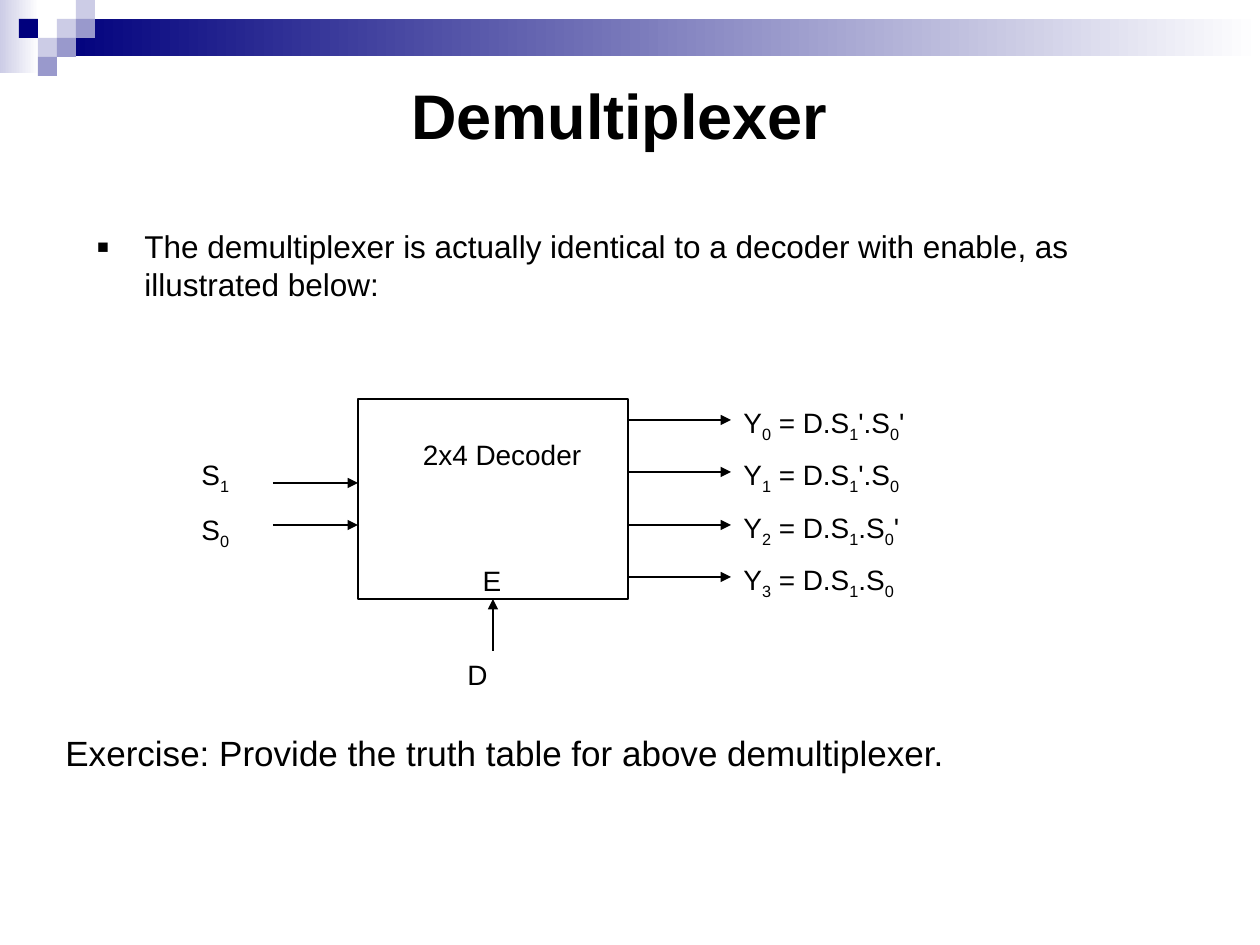
from typing import NamedTuple

from lxml import etree
from pptx import Presentation
from pptx import util as u
from pptx.dml import color
from pptx.enum import shapes, text
from pptx.oxml import ns

SCALE = 914400 / 126
COLORS = {"black": "000000", "white": "FFFFFF", "navy": "00007D",
          "mid": "9999CC", "pale": "CCCCE6"}


class Box(NamedTuple):
    x: int
    y: int
    w: int
    h: int


class Tile(NamedTuple):
    col: int
    row: int
    color: str


class Arrow(NamedTuple):
    x1: int
    y1: int
    x2: int
    y2: int


class Label(NamedTuple):
    text: str
    box: Box
    align: str = "LEFT"


TILE = 19
TILES = [Tile(3, 1, "pale"), Tile(4, 0, "pale"), Tile(4, 1, "mid"),
         Tile(2, 2, "pale"), Tile(1, 1, "navy"), Tile(3, 2, "mid"),
         Tile(2, 3, "mid")]
DECODER = Box(358, 399, 270, 200)
RIGHT = DECODER.x + DECODER.w
BOTTOM = DECODER.y + DECODER.h
CENTER = DECODER.x + DECODER.w // 2
OUTPUTS = ["Y_0 = D.S_1'.S_0'", "Y_1 = D.S_1'.S_0",
           "Y_2 = D.S_1.S_0'", "Y_3 = D.S_1.S_0"]
OFFSETS = [105 * i // 2 for i in range(len(OUTPUTS))]
LABELS = [Label("2x4 Decoder", Box(392, 431, 220, 46), "CENTER"),
          Label("E", Box(450, 557, 84, 46), "CENTER"),
          Label("D", Box(455, 651, 84, 46)),
          Label("S_1\nS_0", Box(189, 451, 102, 107))]
LABELS += [Label(t, Box(731, DECODER.y + dy, 372, 52))
           for t, dy in zip(OUTPUTS, OFFSETS)]
ARROWS = [Arrow(273, y, DECODER.x, y) for y in (483, 525)]
ARROWS += [Arrow(RIGHT, 420 + dy, 731, 420 + dy) for dy in OFFSETS]


def px(n: float) -> int:
    return round(n * SCALE)


def rgb(name: str) -> color.RGBColor:
    return color.RGBColor.from_string(COLORS[name])


def add_rect(s, box: Box, fill: str = "", fade: str = "", line: float = 0):
    sp = s.shapes.add_shape(shapes.MSO_SHAPE.RECTANGLE, *map(px, box))
    sp.shadow.inherit = False
    if fade:
        sp.fill.gradient()
        sp.fill.gradient_angle = 0
        for stop, name in zip(sp.fill.gradient_stops, (fill, fade)):
            stop.color.rgb = rgb(name)
    elif fill:
        sp.fill.solid()
        sp.fill.fore_color.rgb = rgb(fill)
    else:
        sp.fill.background()
    if line:
        sp.line.color.rgb = rgb("black")
        sp.line.width = u.Pt(line)
    else:
        sp.line.fill.background()
    return sp


def add_bullet(p, char: str, indent: int) -> None:
    pPr = p._p.get_or_add_pPr()
    pPr.set("marL", str(px(indent)))
    pPr.set("indent", str(-px(indent)))
    etree.SubElement(pPr, ns.qn("a:buSzPct")).set("val", "120000")
    etree.SubElement(pPr, ns.qn("a:buFont")).set("typeface", "Arial")
    etree.SubElement(pPr, ns.qn("a:buChar")).set("char", char)


def add_run(p, content: str, size: float, bold: bool, sub: bool = False) -> None:
    if not content:
        return
    r = p.add_run()
    r.text = content
    r.font.name = "Arial"
    r.font.size = u.Pt(size)
    r.font.bold = bold
    r.font.color.rgb = rgb("black")
    if sub:
        r._r.get_or_add_rPr().set("baseline", "-25000")


def add_text(s, content: str, box: Box, *, size: float = 16, bold: bool = False,
             align: str = "LEFT", anchor: str = "TOP", bullet: str = "") -> None:
    tf = s.shapes.add_textbox(*map(px, box)).text_frame
    tf.word_wrap = True
    tf.vertical_anchor = text.MSO_ANCHOR[anchor]
    for i, row in enumerate(content.split("\n")):
        p = tf.add_paragraph() if i else tf.paragraphs[0]
        p.alignment = text.PP_ALIGN[align]
        if i:
            p.space_before = u.Pt(10)
        if bullet:
            add_bullet(p, bullet, 48)
        first, *rest = row.split("_")
        add_run(p, first, size, bold)
        for part in rest:
            add_run(p, part[0], size, bold, sub=True)
            add_run(p, part[1:], size, bold)


def add_arrow(s, a: Arrow):
    c = s.shapes.add_connector(shapes.MSO_CONNECTOR.STRAIGHT, *map(px, a))
    c.line.color.rgb = rgb("black")
    c.line.width = u.Pt(1.25)
    etree.SubElement(c.line._get_or_add_ln(), ns.qn("a:tailEnd")).set("type", "triangle")
    etree.SubElement(c._element.spPr, ns.qn("a:effectLst"))
    return c


def main() -> None:
    prs = Presentation()
    prs.slide_width, prs.slide_height = px(1260), px(945)
    s = prs.slides.add_slide(prs.slide_layouts[6])

    add_rect(s, Box(0, 0, 39, 73), "pale", "white")
    add_rect(s, Box(57, 19, 1203, 37), "navy", "white")
    for t in TILES:
        add_rect(s, Box(t.col * TILE, t.row * TILE, TILE, TILE), t.color)

    add_text(s, "Demultiplexer", Box(84, 0, 1071, 158), size=36, bold=True,
             align="CENTER", anchor="BOTTOM")
    add_text(s, "The demultiplexer is actually identical to a decoder with enable, "
             "as illustrated below:", Box(84, 221, 1124, 136), size=18, bullet="▪")
    add_text(s, "Exercise: Provide the truth table for above demultiplexer.",
             Box(53, 725, 1050, 73), size=20)

    decoder = add_rect(s, DECODER, line=1.5)
    for a in ARROWS:
        add_arrow(s, a)
    add_arrow(s, Arrow(CENTER, 651, CENTER, BOTTOM)).end_connect(decoder, 2)
    for label in LABELS:
        add_text(s, label.text, label.box, align=label.align)
    prs.save("out.pptx")


if __name__ == "__main__":
    main()
